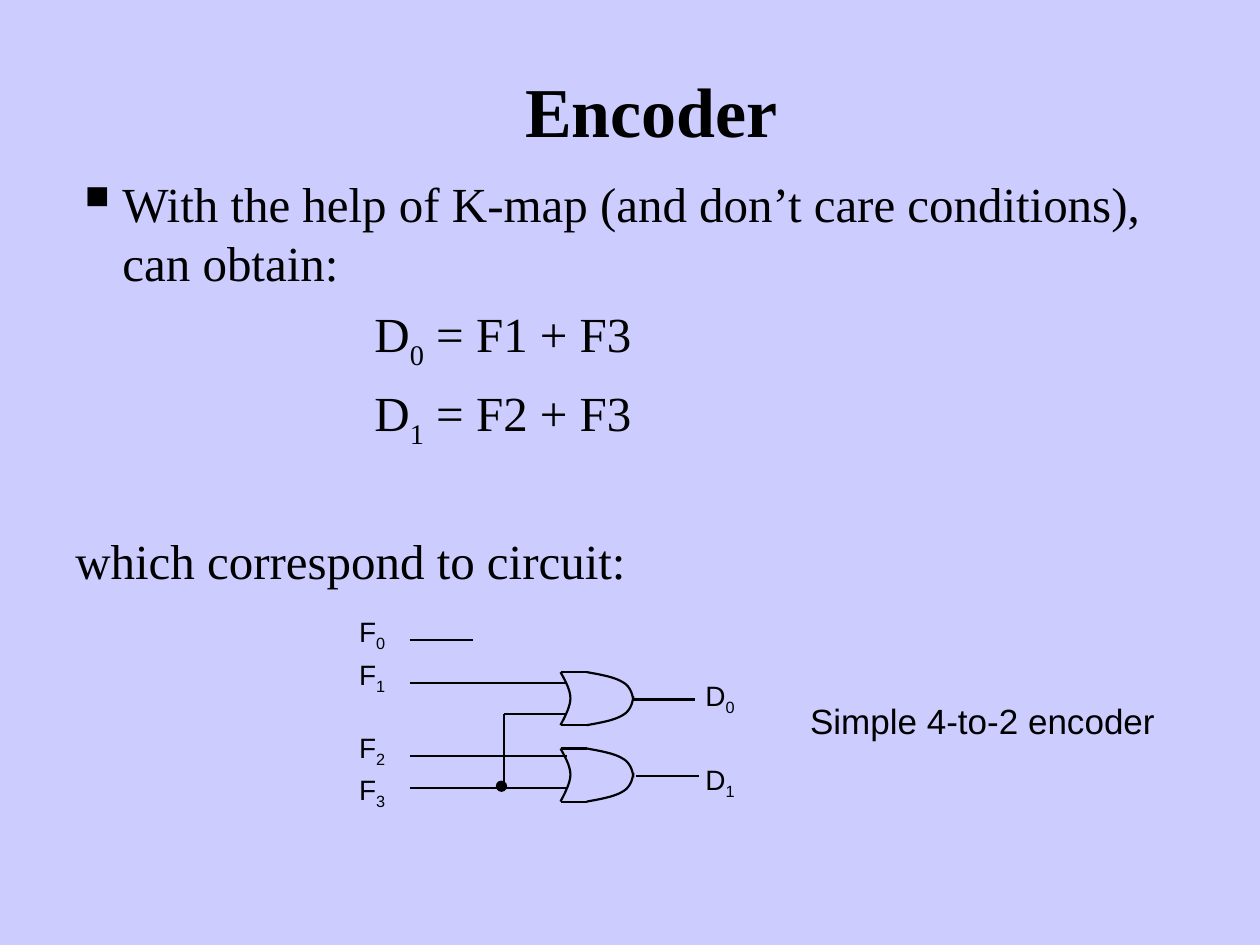
import lxml.etree
import pptx
import pptx.dml.color
import pptx.enum.shapes
import pptx.enum.text
import pptx.oxml.ns
import pptx.util

Cm = pptx.util.Cm
Pt = pptx.util.Pt
ALIGN = pptx.enum.text.PP_ALIGN
ANCHOR = pptx.enum.text.MSO_ANCHOR
AUTO_SIZE = pptx.enum.text.MSO_AUTO_SIZE
qn = pptx.oxml.ns.qn

TITLE = {"name": "Times New Roman", "size": Pt(40), "bold": True}
BODY = {"name": "Times New Roman", "size": Pt(28)}
LABEL = {"name": "Arial", "size": Pt(16)}
CAPTION = {"name": "Arial", "size": Pt(20)}


def color(hex_value):
    return pptx.dml.color.RGBColor.from_string(hex_value)


def set_values(target, values):
    for name, value in values.items():
        setattr(target, name, value)


def bezier(points, steps=10):
    """Sample a chain of cubic curves: one start point, then three per curve."""
    samples = [points[0]]
    for first in range(0, len(points) - 1, 3):
        corners = points[first:first + 4]
        for step in range(1, steps + 1):
            t = step / steps
            weights = ((1 - t) ** 3, 3 * t * (1 - t) ** 2, 3 * t ** 2 * (1 - t), t ** 3)
            samples.append(tuple(
                sum(weight * corner[axis] for weight, corner in zip(weights, corners))
                for axis in (0, 1)))
    return samples


class CircuitSlide:
    ink = "000000"
    background = "CCCCFF"
    wire_width = Pt(1.25)

    def __init__(self, presentation):
        self.slide = presentation.slides.add_slide(presentation.slide_layouts[6])
        fill = self.slide.background.fill
        fill.solid()
        fill.fore_color.rgb = color(self.background)

    def text_box(self, left, top, width, height, **frame_format):
        box = self.slide.shapes.add_textbox(Cm(left), Cm(top), Cm(width), Cm(height))
        set_values(box.text_frame, {"word_wrap": True, **frame_format})
        return box.text_frame

    def add_text(self, paragraph, parts, font, **paragraph_format):
        """Fill a paragraph; every second part is a subscript."""
        set_values(paragraph, paragraph_format)
        for index, part in enumerate(parts):
            run = paragraph.add_run()
            run.text = part
            set_values(run.font, font)
            run.font.color.rgb = color(self.ink)
            if index % 2:
                run._r.get_or_add_rPr().set("baseline", "-25000")

    def indent(self, paragraph, margin, first_line=0):
        properties = paragraph._p.get_or_add_pPr()
        properties.set("marL", str(Cm(margin)))
        properties.set("indent", str(Cm(first_line)))

    def bullet(self, paragraph, character):
        properties = paragraph._p.get_or_add_pPr()
        bullet_color = lxml.etree.SubElement(properties, qn("a:buClr"))
        lxml.etree.SubElement(bullet_color, qn("a:srgbClr"), val=self.ink)
        lxml.etree.SubElement(properties, qn("a:buSzPct"), val="120000")
        lxml.etree.SubElement(properties, qn("a:buChar"), char=character)

    def label(self, left, top, *parts):
        frame = self.text_box(left, top, 1.22, 1.04, auto_size=AUTO_SIZE.SHAPE_TO_FIT_TEXT)
        self.add_text(frame.paragraphs[0], parts, LABEL)

    def draw_line(self, line):
        line.width = self.wire_width
        line.color.rgb = color(self.ink)

    def wire(self, x1, y1, x2, y2):
        connector = self.slide.shapes.add_connector(
            pptx.enum.shapes.MSO_CONNECTOR.STRAIGHT, Cm(x1), Cm(y1), Cm(x2), Cm(y2))
        self.draw_line(connector.line)
        lxml.etree.SubElement(connector._element.spPr, qn("a:effectLst"))

    def curve(self, points):
        start, *rest = [(Cm(x), Cm(y)) for x, y in bezier(points)]
        builder = self.slide.shapes.build_freeform(*start)
        builder.add_line_segments(rest, close=False)
        shape = builder.convert_to_shape()
        shape.shadow.inherit = False
        shape.fill.background()
        self.draw_line(shape.line)

    def or_gate(self, left, top):
        height, shoulder = 1.07, 0.53
        back = [(0, 0), (0.1, 0.18), (0.2, 0.36), (0.2, 0.53),
                (0.2, 0.71), (0.05, 0.97), (0, height)]
        upper = [(shoulder, 0), (0.81, 0.05), (1.09, 0.1), (1.25, 0.2),
                 (1.4, 0.28), (1.45, 0.43), (1.47, 0.58)]
        lower = [(x, height - y) for x, y in upper]
        for points in (back, upper, lower):
            self.curve([(left + x, top + y) for x, y in points])
        for y in (top, top + height):
            self.wire(left, y, left + shoulder, y)

    def junction(self, left, top, size):
        dot = self.slide.shapes.add_shape(
            pptx.enum.shapes.MSO_SHAPE.OVAL, Cm(left), Cm(top), Cm(size), Cm(size))
        dot.shadow.inherit = False
        dot.fill.solid()
        dot.fill.fore_color.rgb = color(self.ink)
        dot.line.color.rgb = color(self.ink)
        dot.line.width = Pt(0.75)


def main():
    presentation = pptx.Presentation()
    presentation.slide_width, presentation.slide_height = Cm(25.4), Cm(19.05)
    page = CircuitSlide(presentation)

    title = page.text_box(2.34, 0, 21.59, 3.18, vertical_anchor=ANCHOR.BOTTOM)
    page.add_text(title.paragraphs[0], ["Encoder"], TITLE, alignment=ALIGN.CENTER)

    body = page.text_box(1.27, 3.38, 23.5, 5.72)
    intro = body.paragraphs[0]
    page.indent(intro, 0.95, -0.95)
    page.bullet(intro, "▪")
    page.add_text(intro, ["With the help of K-map (and don’t care conditions), can obtain:"], BODY)
    for output, terms in (("0", " = F1 + F3"), ("1", " = F2 + F3")):
        equation = body.add_paragraph()
        page.indent(equation, 6.03)
        page.add_text(equation, ["D", output, terms], BODY, space_before=Pt(7))
    page.add_text(body.add_paragraph(), ["which correspond to circuit:"], BODY,
                  space_before=Pt(46))

    inputs = ((12.27, 12.9, 9.53), (13.13, 13.77, 11.43),
              (14.61, 15.24, 11.43), (15.44, 15.88, 11.43))
    for number, (label_top, wire_y, wire_end) in enumerate(inputs):
        page.label(6.99, label_top, "F", str(number))
        page.wire(8.26, wire_y, wire_end, wire_y)

    outputs = ((13.55, 13.55, 12.75, 14.1), (15.09, 15.24, 12.83, 15.65))
    for number, (gate_top, label_top, wire_x, wire_y) in enumerate(outputs):
        page.or_gate(11.3, gate_top)
        page.label(13.97, label_top, "D", str(number))
        page.wire(wire_x, wire_y, wire_x + 1.27, wire_y)

    page.wire(10.16, 14.4, 11.43, 14.4)
    page.wire(10.16, 14.4, 10.16, 15.88)
    page.junction(10.01, 15.75, 0.2)

    caption = page.text_box(16.08, 13.97, 7.62, 1.12, auto_size=AUTO_SIZE.SHAPE_TO_FIT_TEXT)
    page.add_text(caption.paragraphs[0], ["Simple 4-to-2 encoder"], CAPTION)

    presentation.save("out.pptx")


if __name__ == "__main__":
    main()
